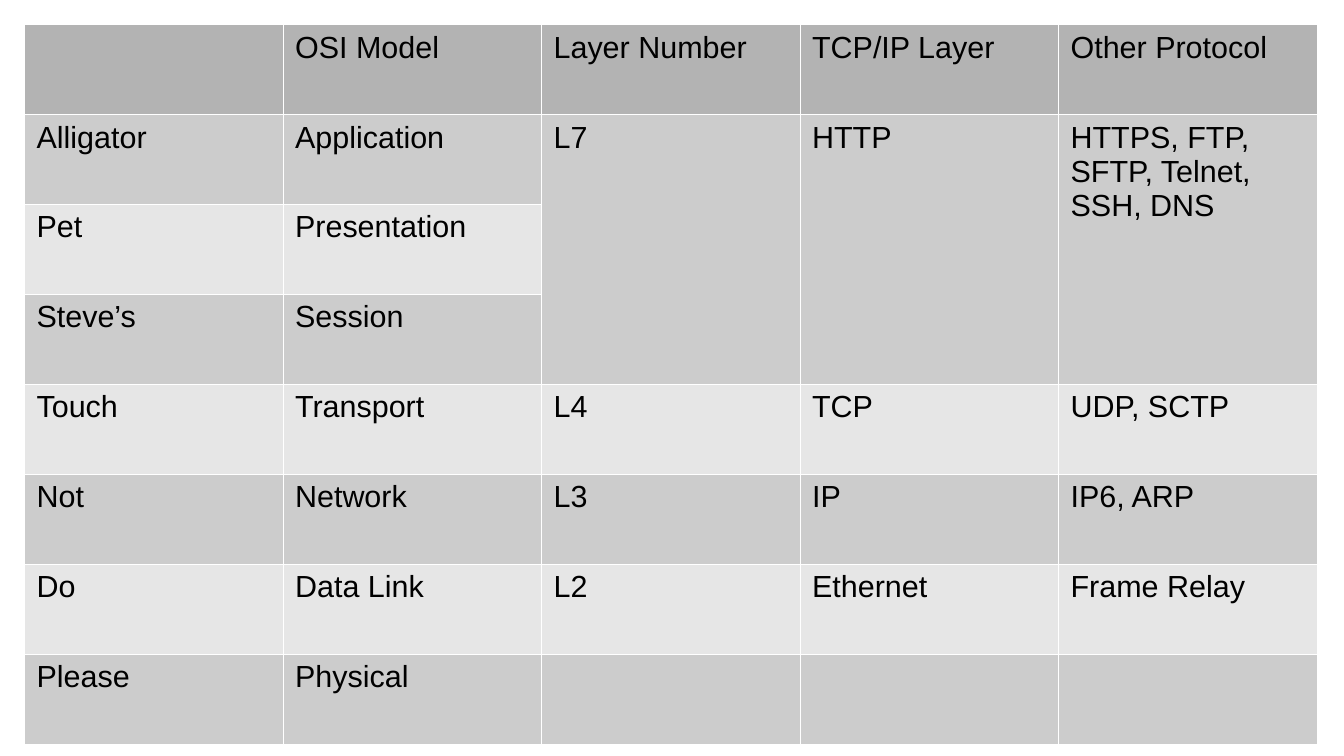
from lxml import etree
from pptx import Presentation
from pptx import util as u
from pptx.dml.color import RGBColor
from pptx.oxml.ns import qn

BLACK = RGBColor(0x00, 0x00, 0x00)
WHITE = RGBColor(0xFF, 0xFF, 0xFF)
HEADER = RGBColor(0xB3, 0xB3, 0xB3)
DARK = RGBColor(0xCC, 0xCC, 0xCC)
LIGHT = RGBColor(0xE6, 0xE6, 0xE6)

ROWS = [
    ("", "OSI Model", "Layer Number", "TCP/IP Layer", "Other Protocol"),
    ("Alligator", "Application", "L7", "HTTP", "HTTPS, FTP, SFTP, Telnet, SSH, DNS"),
    ("Pet", "Presentation", "", "", ""),
    ("Steve’s", "Session", "", "", ""),
    ("Touch", "Transport", "L4", "TCP", "UDP, SCTP"),
    ("Not", "Network", "L3", "IP", "IP6, ARP"),
    ("Do", "Data Link", "L2", "Ethernet", "Frame Relay"),
    ("Please", "Physical", "", "", ""),
]


def write(tf, content, size=18, font="Arial", color=BLACK, bold=False):
    """Put formatted text into a text frame."""
    p = tf.paragraphs[0]
    p.font.size = u.Pt(size)
    if content:
        r = p.add_run()
        r.text = content
        r.font.size = u.Pt(size)
        r.font.name = font
        r.font.bold = bold
        r.font.color.rgb = color


def set_borders(cell, color=WHITE, width=0.06):
    """Draw a thin line on all four sides of a cell."""
    tcPr = cell._tc.get_or_add_tcPr()
    for side in ("a:lnL", "a:lnR", "a:lnT", "a:lnB"):
        ln = etree.SubElement(tcPr, qn(side), w=str(u.Pt(width)))
        fill = etree.SubElement(ln, qn("a:solidFill"))
        etree.SubElement(fill, qn("a:srgbClr"), val=str(color))


def layer_table(s, left, top, width, height):
    """Place the table of network layers in the given box."""
    n_rows, n_cols = len(ROWS), len(ROWS[0])
    table = s.shapes.add_table(n_rows, n_cols, left, top, width, height).table
    table.first_row = table.horz_banding = False
    for col in table.columns:
        col.width = u.Emu(width // n_cols)
    for i, (row, values) in enumerate(zip(table.rows, ROWS)):
        row.height = u.Emu(height // n_rows)
        band = HEADER if i == 0 else DARK if i % 2 else LIGHT
        for cell, value in zip(row.cells, values):
            set_borders(cell)
            cell.fill.solid()
            cell.fill.fore_color.rgb = band
            write(cell.text_frame, value)
    for c in range(2, n_cols):
        table.cell(1, c).merge(table.cell(3, c))


def main():
    """Build and save the slide."""
    prs = Presentation()
    prs.slide_width, prs.slide_height = u.Inches(11.02), u.Inches(6.2)
    s = prs.slides.add_slide(prs.slide_layouts[6])
    layer_table(s, u.Inches(0.2), u.Inches(0.2), u.Inches(10.6), u.Inches(5.9))
    prs.save("out.pptx")


if __name__ == "__main__":
    main()
